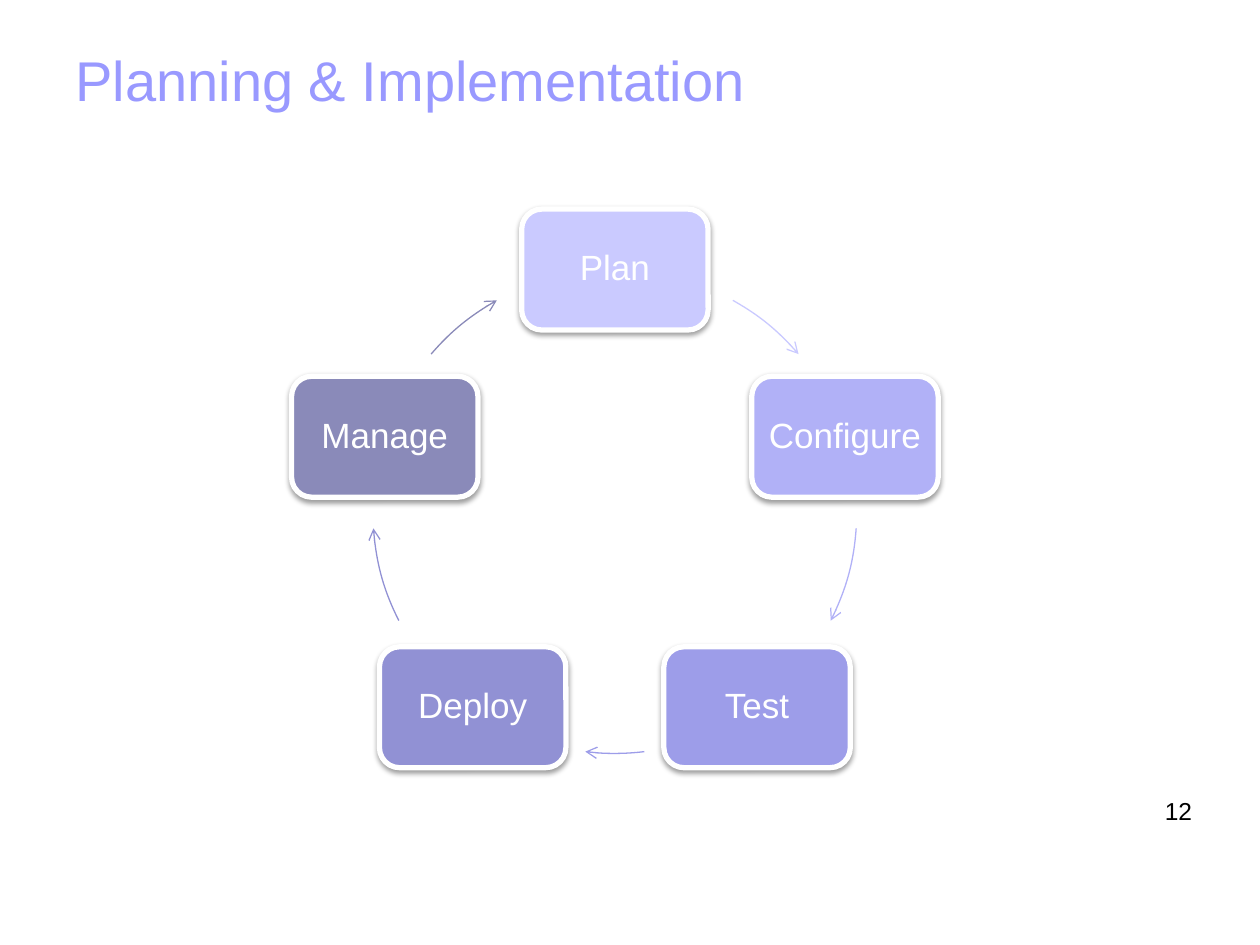
from math import cos, radians, sin

from lxml import etree
from pptx import Presentation
from pptx.dml.color import RGBColor
from pptx.enum.shapes import MSO_SHAPE
from pptx.enum.text import MSO_ANCHOR, PP_ALIGN
from pptx.oxml.ns import qn
from pptx.util import Inches, Pt

ROUND, ARC = MSO_SHAPE.ROUNDED_RECTANGLE, MSO_SHAPE.ARC
MIDDLE = MSO_ANCHOR.MIDDLE
LEFT, CENTER, RIGHT = PP_ALIGN.LEFT, PP_ALIGN.CENTER, PP_ALIGN.RIGHT
WHITE = RGBColor(0xFF, 0xFF, 0xFF)
BLACK = RGBColor(0x00, 0x00, 0x00)
LILAC = RGBColor(0x99, 0x99, 0xFF)

STEPS = [
    ("Plan", RGBColor(0xCA, 0xCA, 0xFF), -60.8, -40.6),
    ("Configure", RGBColor(0xB1, 0xB1, 0xF7), 4, 26.8),
    ("Test", RGBColor(0x9D, 0x9D, 0xE9), 83, 97),
    ("Deploy", RGBColor(0x91, 0x91, 0xD4), 153.2, 176),
    ("Manage", RGBColor(0x8A, 0x8A, 0xB9), 220.6, 240.8),
]
MID_X, MID_Y, RADIUS = 4.88, 4.06, 1.92
WIDE, HIGH = 1.48, 0.96


def write(frame, text, size, color, align):
    frame.text = text
    frame.word_wrap = True
    para = frame.paragraphs[0]
    para.alignment = align
    font = para.runs[0].font
    font.name, font.size = "Arial", Pt(size)
    font.color.rgb = color


def add_shade(shape):
    effects = shape._element.spPr.find(qn("a:effectLst"))
    shade = etree.SubElement(effects, qn("a:outerShdw"), blurRad="40000",
                             dist="20000", dir="5400000", rotWithShape="0")
    black = etree.SubElement(shade, qn("a:srgbClr"), val="000000")
    etree.SubElement(black, qn("a:alpha"), val="38000")


deck = Presentation()
deck.slide_width, deck.slide_height = Inches(10), Inches(7.5)
slide = deck.slides.add_slide(deck.slide_layouts[5])
shapes = slide.shapes

title = shapes.title
title.left, title.top = Inches(0.5), Inches(0)
title.width, title.height = Inches(8.17), Inches(1.25)
title.text_frame.vertical_anchor = MIDDLE
write(title.text_frame, "Planning & Implementation", 32, LILAC, LEFT)

for index, (name, color, start, end) in enumerate(STEPS):
    angle = radians(72 * index - 90)
    left = MID_X + RADIUS * cos(angle) - WIDE / 2
    top = MID_Y + RADIUS * sin(angle) - HIGH / 2
    box = shapes.add_shape(ROUND, Inches(left), Inches(top), Inches(WIDE), Inches(HIGH))
    box.fill.solid()
    box.fill.fore_color.rgb = color
    box.line.color.rgb = WHITE
    box.line.width = Pt(3)
    box.shadow.inherit = False
    add_shade(box)
    frame = box.text_frame
    frame.margin_left = frame.margin_right = Inches(0.08)
    frame.vertical_anchor = MIDDLE
    write(frame, name, 20, WHITE, CENTER)
    frame.paragraphs[0].line_spacing = 0.9

    arc = shapes.add_shape(ARC, Inches(MID_X - RADIUS), Inches(MID_Y - RADIUS),
                           Inches(2 * RADIUS), Inches(2 * RADIUS))
    arc.adjustments[0] = start % 360 * 0.6
    arc.adjustments[1] = end % 360 * 0.6
    arc.fill.background()
    arc.line.color.rgb = color
    arc.line.width = Pt(0.75)
    arc.shadow.inherit = False
    etree.SubElement(arc.line._get_or_add_ln(), qn("a:tailEnd"), type="arrow")

number = shapes.add_textbox(Inches(8.89), Inches(6.27), Inches(0.67), Inches(0.57))
write(number.text_frame, "12", 14, BLACK, RIGHT)

deck.save("out.pptx")
